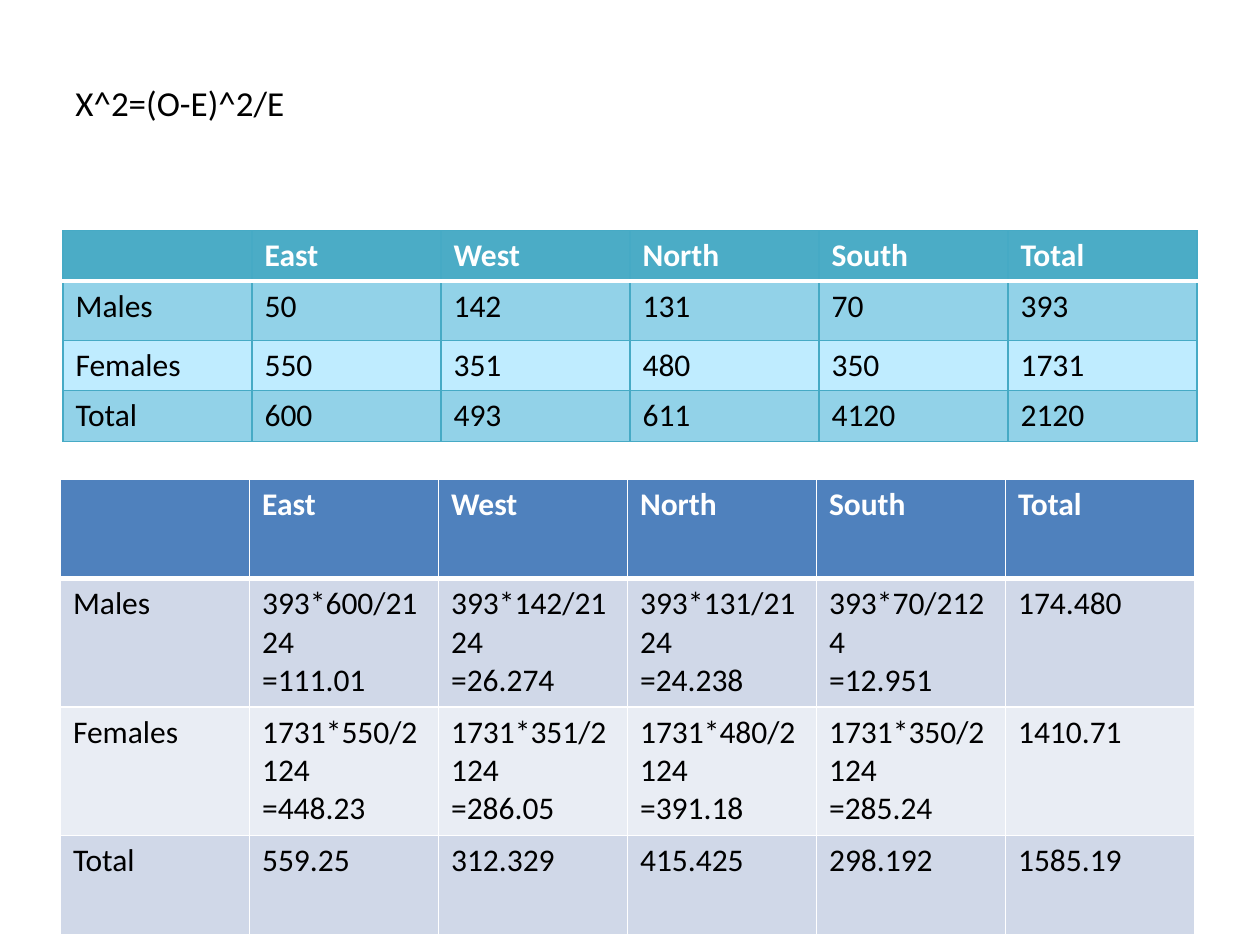
from dataclasses import dataclass

from lxml import etree
from pptx import Presentation
from pptx import util as u
from pptx.dml.color import RGBColor
from pptx.enum import text
from pptx.oxml import ns


@dataclass(frozen=True)
class Theme:
    """Hold the type sizes and colours of the slide."""
    font: str = "Calibri"
    title_size: int = 20
    table_size: int = 18
    ink: str = "000000"
    light: str = "FFFFFF"


@dataclass(frozen=True)
class TableLook:
    """Hold the fills and rules of one table."""
    header: str
    bands: tuple
    rule: str
    rule_width: float
    header_rule_width: float


THEME = Theme()
OBSERVED_LOOK = TableLook("4BACC6", ("92D2E8", "BFECFF"), "46AAC5", 0.75, 2)
EXPECTED_LOOK = TableLook("4F81BD", ("D0D8E8", "E9EDF4"), "FFFFFF", 1, 3)
HEADER = ["", "East", "West", "North", "South", "Total"]
OBSERVED = [
    HEADER,
    ["Males", "50", "142", "131", "70", "393"],
    ["Females", "550", "351", "480", "350", "1731"],
    ["Total", "600", "493", "611", "4120", "2120"],
]
EXPECTED = [
    HEADER,
    ["Males", "393*600/2124\n=111.01", "393*142/2124\n=26.274",
     "393*131/2124\n=24.238", "393*70/2124\n=12.951", "174.480"],
    ["Females", "1731*550/2124\n=448.23", "1731*351/2124\n=286.05",
     "1731*480/2124\n=391.18", "1731*350/2124\n=285.24", "1410.71"],
    ["Total", "559.25", "312.329", "415.425", "298.192", "1585.19"],
]


def set_values(target, values):
    """Set each named attribute of the target."""
    for name, value in values.items():
        setattr(target, name, value)


def write_text(frame, content, size, colour, bold=False):
    """Write one paragraph for each line of the content."""
    frame.text = content
    for paragraph in frame.paragraphs:
        for run in paragraph.runs:
            set_values(run.font, {"name": THEME.font, "size": u.Pt(size), "bold": bold})
            run.font.color.rgb = RGBColor.from_string(colour)


def add_border(cell, side, colour, width):
    """Draw a solid rule on one side of a cell."""
    properties = cell._tc.get_or_add_tcPr()
    line = etree.SubElement(properties, ns.qn(f"a:ln{side}"), w=str(int(u.Pt(width))))
    fill = etree.SubElement(line, ns.qn("a:solidFill"))
    etree.SubElement(fill, ns.qn("a:srgbClr"), val=colour)


def style_cell(cell, row, look):
    """Give a cell its rules and its header or band fill."""
    header_rule = (THEME.light, look.header_rule_width)
    plain_rule = (look.rule, look.rule_width)
    rules = {
        "L": plain_rule,
        "R": plain_rule,
        "T": header_rule if row == 1 else plain_rule,
        "B": header_rule if row == 0 else plain_rule,
    }
    for side, rule in rules.items():
        add_border(cell, side, *rule)
    colour = look.bands[(row - 1) % 2] if row else look.header
    cell.fill.solid()
    cell.fill.fore_color.rgb = RGBColor.from_string(colour)


def add_formula(slide, left, top, width, height):
    """Place the formula line in its box."""
    frame = slide.shapes.add_textbox(left, top, width, height).text_frame
    set_values(frame, {
        "word_wrap": True,
        "vertical_anchor": text.MSO_ANCHOR.MIDDLE,
        "margin_bottom": u.Inches(0.34),
    })
    write_text(frame, "X^2=(O-E)^2/E", THEME.title_size, THEME.ink)


def add_data_table(slide, left, top, width, row_heights, rows, look):
    """Place a table with equal columns in the given box."""
    columns = len(rows[0])
    table = slide.shapes.add_table(
        len(rows), columns, left, top, width, sum(row_heights)).table
    set_values(table, {"first_row": True, "horz_banding": False})
    for column in table.columns:
        column.width = width // columns
    for row, (height, values) in enumerate(zip(row_heights, rows)):
        table.rows[row].height = height
        for column, value in enumerate(values):
            cell = table.cell(row, column)
            style_cell(cell, row, look)
            write_text(cell.text_frame, value, THEME.table_size,
                       THEME.ink if row else THEME.light, bold=row == 0)


def build_slide(presentation):
    """Build the slide with the formula and both tables."""
    slide = presentation.slides.add_slide(presentation.slide_layouts[6])
    width = u.Inches(9)
    add_formula(slide, u.Inches(0.5), u.Inches(0.3), width, u.Inches(1.31))
    add_data_table(slide, u.Inches(0.5), u.Inches(1.83), width,
                   [u.Inches(height) for height in (0.4, 0.47, 0.4, 0.4)],
                   OBSERVED, OBSERVED_LOOK)
    add_data_table(slide, u.Inches(0.48), u.Inches(3.8), width,
                   [u.Inches(height) for height in (0.79, 1.02, 1.02, 0.79)],
                   EXPECTED, EXPECTED_LOOK)


presentation = Presentation()
set_values(presentation, {"slide_width": u.Inches(10), "slide_height": u.Inches(7.5)})
build_slide(presentation)
presentation.save("out.pptx")
